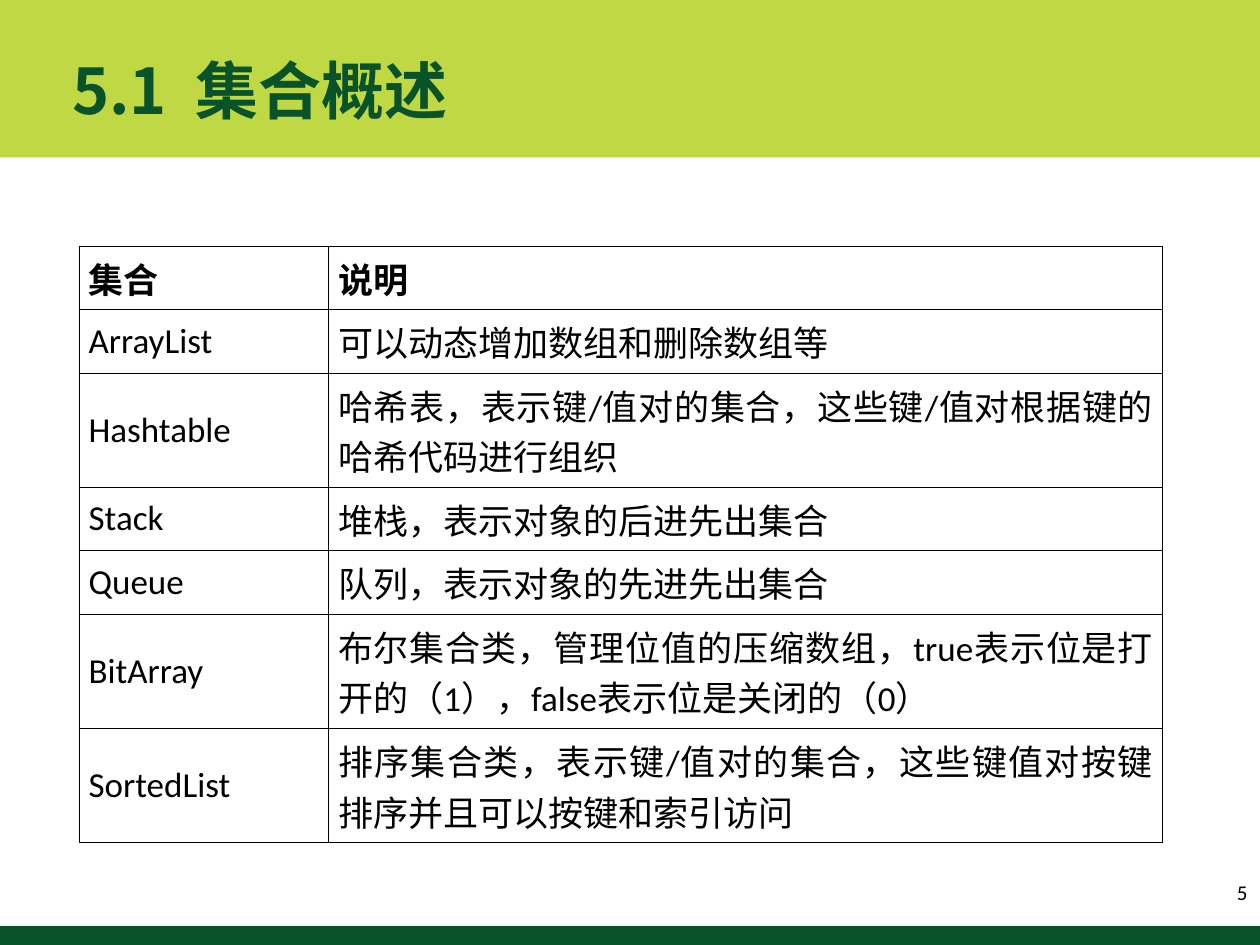
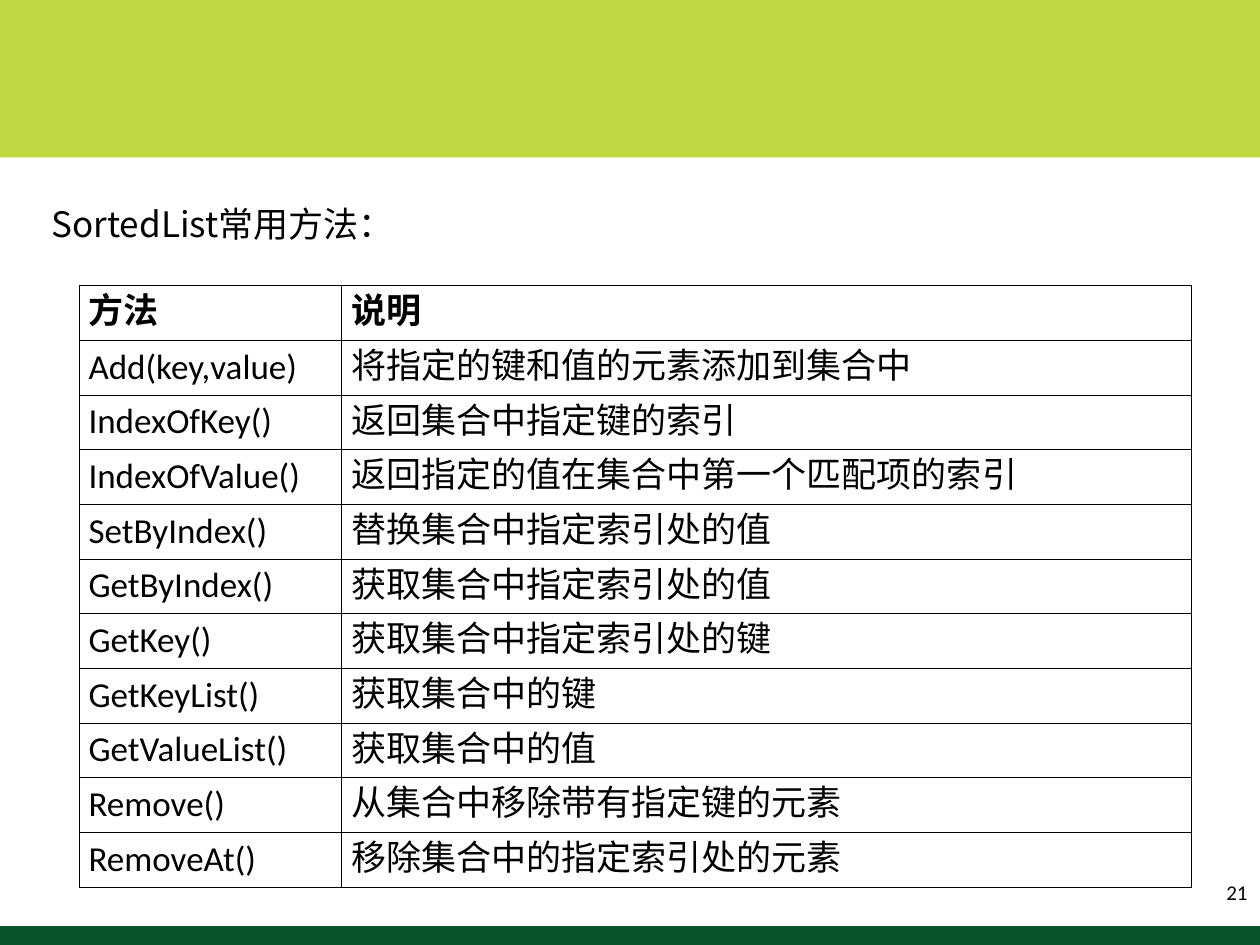
from lxml.etree import SubElement
from pptx import Presentation
from pptx.dml.color import RGBColor
from pptx.enum.shapes import MSO_SHAPE
from pptx.enum.text import MSO_ANCHOR, PP_ALIGN
from pptx.oxml.ns import qn
from pptx.util import Pt

LIME, GREEN, BLACK = "BFD844", "09532A", "000000"
LATIN, CJK = "Calibri", "Noto Sans CJK SC"
WIDTH, HEIGHT = 720, 540
BANDS = [(0, 90, LIME), (529.2, 10.8, GREEN)]  # top, height, colour

COLLECTIONS = [
    ("集合", "说明"),
    ("ArrayList", "可以动态增加数组和删除数组等"),
    ("Hashtable", "哈希表，表示键/值对的集合，这些键/值对根据键的哈希代码进行组织"),
    ("Stack", "堆栈，表示对象的后进先出集合"),
    ("Queue", "队列，表示对象的先进先出集合"),
    ("BitArray", "布尔集合类，管理位值的压缩数组，true表示位是打开的（1），"
                 "false表示位是关闭的（0）"),
    ("SortedList", "排序集合类，表示键/值对的集合，这些键值对按键排序并且可以按键和索引访问"),
]
METHODS = [
    ("方法", "说明"),
    ("Add(key,value)", "将指定的键和值的元素添加到集合中"),
    ("IndexOfKey()", "返回集合中指定键的索引"),
    ("IndexOfValue()", "返回指定的值在集合中第一个匹配项的索引"),
    ("SetByIndex()", "替换集合中指定索引处的值"),
    ("GetByIndex()", "获取集合中指定索引处的值"),
    ("GetKey()", "获取集合中指定索引处的键"),
    ("GetKeyList()", "获取集合中的键"),
    ("GetValueList()", "获取集合中的值"),
    ("Remove()", "从集合中移除带有指定键的元素"),
    ("RemoveAt()", "移除集合中的指定索引处的元素"),
]


def rgb(color):
    return RGBColor.from_string(color)


def write(tf, text, size, latin=LATIN, color=BLACK, bold=False, align=PP_ALIGN.LEFT):
    """Fill a text frame with one formatted paragraph and return it."""
    tf.text = text
    p = tf.paragraphs[0]
    p.alignment = align
    for r in p.runs:
        r.font.size, r.font.name, r.font.bold = Pt(size), latin, bold
        r.font.color.rgb = rgb(color)
        SubElement(r.font._element, qn("a:ea"), typeface=CJK)
    return p


def add_bands(master, slide):
    """Put the coloured bands behind everything on the master."""
    for top, height, color in BANDS:
        sp = slide.shapes.add_shape(MSO_SHAPE.RECTANGLE, 0, Pt(top), Pt(WIDTH), Pt(height))
        sp.shadow.inherit = False
        sp.fill.solid()
        sp.fill.fore_color.rgb = rgb(color)
        sp.line.fill.background()
        master.element.cSld.spTree.insert(2, sp.element)


def add_text(slide, text, left, top, width, height, size, anchor=MSO_ANCHOR.TOP, **style):
    tf = slide.shapes.add_textbox(Pt(left), Pt(top), Pt(width), Pt(height)).text_frame
    tf.word_wrap = True
    tf.vertical_anchor = anchor
    return write(tf, text, size, **style)


def add_page_number(slide, number, width):
    add_text(slide, str(number), WIDTH - width, 495.4, width, 28.8, 12,
             MSO_ANCHOR.MIDDLE, align=PP_ALIGN.RIGHT)


def set_borders(cell):
    tc_pr = cell._tc.get_or_add_tcPr()
    for i, side in enumerate(("a:lnL", "a:lnR", "a:lnT", "a:lnB")):
        ln = SubElement(tc_pr, qn(side), w=str(Pt(0.45)))
        SubElement(SubElement(ln, qn("a:solidFill")), qn("a:srgbClr"), val=BLACK)
        tc_pr.insert(i, ln)


def add_grid(slide, rows, top, col_widths, row_heights, line_spacing=None):
    table = slide.shapes.add_table(len(rows), len(col_widths), Pt(45.2), Pt(top),
                                   Pt(sum(col_widths)), Pt(sum(row_heights))).table
    table.first_row = table.horz_banding = False
    for col, width in zip(table.columns, col_widths):
        col.width = Pt(width)
    for i, (row, height) in enumerate(zip(table.rows, row_heights)):
        row.height = Pt(height)
        for cell, text in zip(row.cells, rows[i]):
            cell.vertical_anchor = MSO_ANCHOR.MIDDLE
            cell.margin_left = cell.margin_right = Pt(5.4)
            cell.margin_top = cell.margin_bottom = Pt(3.6)
            cell.fill.background()
            set_borders(cell)
            p = write(cell.text_frame, text, 20, bold=i == 0, align=PP_ALIGN.JUSTIFY)
            p.line_spacing = line_spacing


def add_overview(slide):
    title = slide.shapes.title
    title.left, title.top, title.width, title.height = Pt(34), Pt(16.6), Pt(534), Pt(68.4)
    title.text_frame.vertical_anchor = MSO_ANCHOR.MIDDLE
    write(title.text_frame, "5.1  集合概述", 36, CJK, GREEN, bold=True)
    heights = [55.4 if len(text) > 20 else 27.7 for _, text in COLLECTIONS]
    add_grid(slide, COLLECTIONS, 140.6, (142.6, 476.4), heights)
    add_page_number(slide, 5, 39.6)


def add_methods(slide):
    p = add_text(slide, "SortedList常用方法：", 0, 112.3, 669.6, 31.7, 20, latin=CJK)
    p._p.get_or_add_pPr().set("marL", str(Pt(22.4)))
    add_grid(slide, METHODS, 163.2, (150, 485.6), [24] * len(METHODS), Pt(24))
    add_page_number(slide, 21, 167.8)


def main():
    prs = Presentation()
    prs.slide_width, prs.slide_height = Pt(WIDTH), Pt(HEIGHT)
    overview = prs.slides.add_slide(prs.slide_layouts.get_by_name("Title Only"))
    methods = prs.slides.add_slide(prs.slide_layouts.get_by_name("Blank"))
    add_bands(prs.slide_master, overview)
    add_overview(overview)
    add_methods(methods)
    prs.save("out.pptx")


if __name__ == "__main__":
    main()
